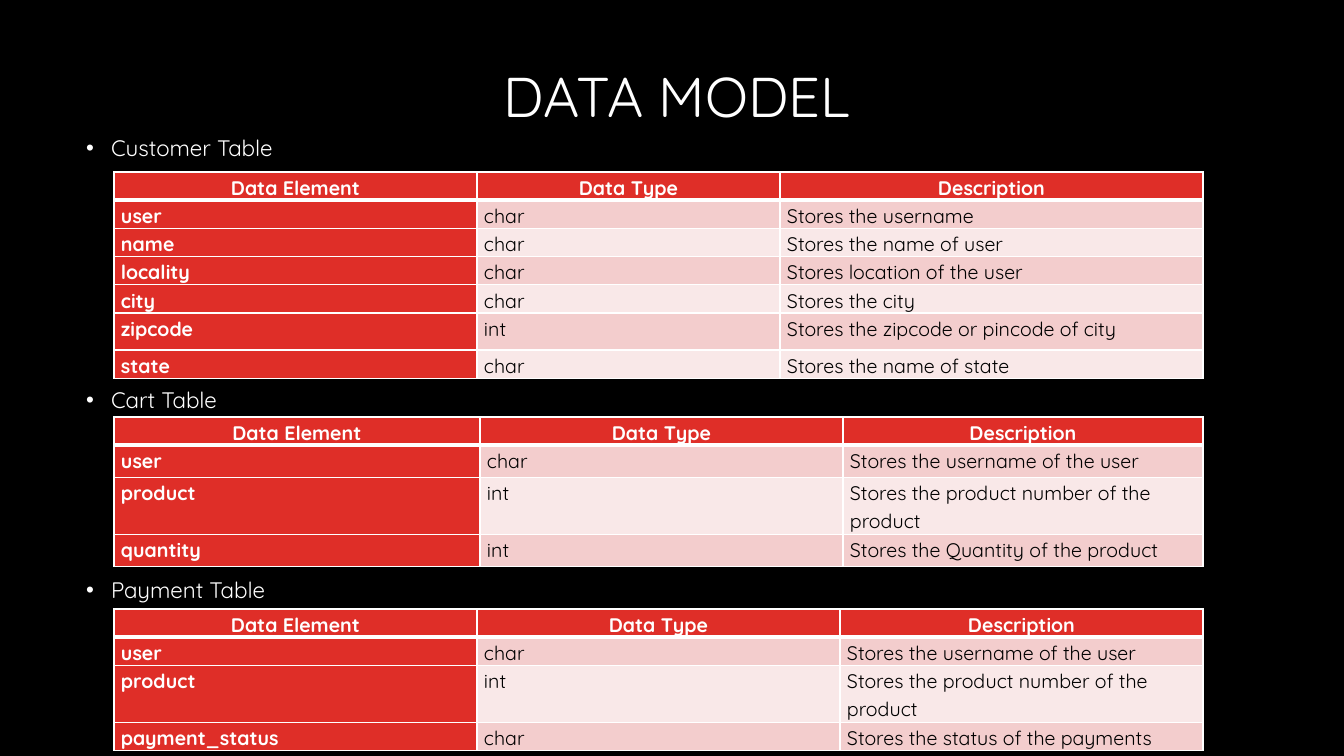
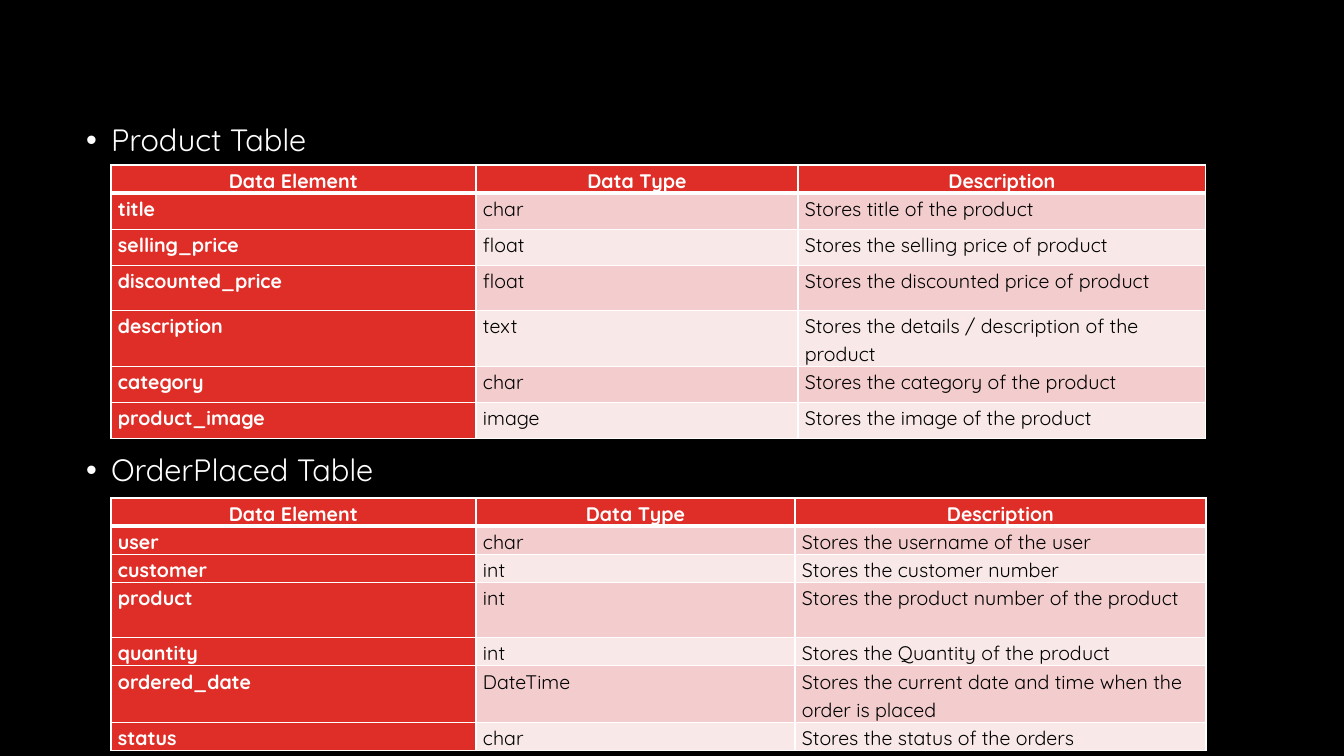
from lxml import etree
from pptx import Presentation
from pptx.dml.color import RGBColor
from pptx.enum.text import MSO_ANCHOR, MSO_AUTO_SIZE, PP_ALIGN
from pptx.oxml.ns import qn
from pptx.util import Pt

CENTER, LEFT = PP_ALIGN.CENTER, PP_ALIGN.LEFT
TOP, MIDDLE = MSO_ANCHOR.TOP, MSO_ANCHOR.MIDDLE
NO_FIT = MSO_AUTO_SIZE.NONE

SCALE = 914400 / 100.8
FONT = "Quicksand"
COLORS = {
    "black": "000000",
    "white": "FFFFFF",
    "red": "DF2E28",
    "rose": "F3CDCD",
    "pale": "F9E8E8",
}
HEADS = ("Data Element", "Data Type", "Description")
ROW = 28  # height of a row with one line of text

# Rows: element, type, description and, where it is not ROW, the height.
CUSTOMER = [
    ("user", "char", "Stores the username"),
    ("name", "char", "Stores the name of user"),
    ("locality", "char", "Stores location of the user"),
    ("city", "char", "Stores the city"),
    ("zipcode", "int", "Stores the zipcode or pincode of city", 37),
    ("state", "char", "Stores the name of state"),
]
CART = [
    ("user", "char", "Stores the username of the user", 32),
    ("product", "int", "Stores the product number of the product", 57),
    ("quantity", "int", "Stores the Quantity of the product", 32),
]
PAYMENT = [
    ("user", "char", "Stores the username of the user"),
    ("product", "int", "Stores the product number of the product", 57),
    ("payment_status", "char", "Stores the status of the payments"),
]
PRODUCT = [
    ("title", "char", "Stores title of the product", 36),
    ("selling_price", "float", "Stores the selling price of product", 36),
    ("discounted_price", "float", "Stores the discounted price of product", 45),
    ("description", "text", "Stores the details / description of the product", 56),
    ("category", "char", "Stores the category of the product", 36),
    ("product_image", "image", "Stores the image of the product", 36),
]
ORDER = [
    ("user", "char", "Stores the username of the user"),
    ("customer", "int", "Stores the customer number"),
    ("product", "int", "Stores the product number of the product", 55),
    ("quantity", "int", "Stores the Quantity of the product"),
    ("ordered_date", "DateTime",
     "Stores the current date and time when the order is placed", 55),
    ("status", "char", "Stores the status of the orders"),
]


def px(n):
    return round(n * SCALE)


def rgb(name):
    return RGBColor.from_string(COLORS[name])


def style(para, size, color, bold=False, align=LEFT, line=0.9):
    para.alignment = align
    para.line_spacing = line
    font = para.font
    font.name, font.size, font.bold = FONT, Pt(size), bold
    font.color.rgb = rgb(color)


def place(shape, left, top, width, height):
    shape.left, shape.top = px(left), px(top)
    shape.width, shape.height = px(width), px(height)


def add_title(slide, text):
    title = slide.shapes.title
    place(title, 84, 44, 1185, 110)
    title.text_frame.vertical_anchor = MIDDLE
    title.text_frame.text = text
    style(title.text_frame.paragraphs[0], 40, "white", align=CENTER)


def add_list(slide, top, height, size, items):
    """Fill the body with (text, points of space before) bullets."""
    body = slide.placeholders[1]
    place(body, 76, top, 1192, height)
    frame = body.text_frame
    frame.auto_size = NO_FIT
    frame.vertical_anchor = TOP
    frame.text = "\n".join(text for text, _ in items)
    for para, (_, gap) in zip(frame.paragraphs, items):
        props = para._p.get_or_add_pPr()
        props.set("marL", str(px(25)))
        props.set("indent", str(px(-25)))
        tint = etree.SubElement(props, qn("a:buClr"))
        etree.SubElement(tint, qn("a:srgbClr"), val=COLORS["white"])
        etree.SubElement(props, qn("a:buFont"), typeface="Arial")
        etree.SubElement(props, qn("a:buChar"), char="•")
        para.space_before = Pt(gap)
        style(para, size, "white")


def add_edges(cell, top, bottom):
    """Draw white borders; top and bottom are widths in points."""
    props = cell._tc.get_or_add_tcPr()
    for side, width in (("L", 1), ("R", 1), ("T", top), ("B", bottom)):
        edge = etree.SubElement(props, qn(f"a:ln{side}"), w=str(Pt(width)))
        fill = etree.SubElement(edge, qn("a:solidFill"))
        etree.SubElement(fill, qn("a:srgbClr"), val=COLORS["white"])


def fill_cell(cell, text, row, col):
    head, key = row == 0, row == 0 or col == 0
    add_edges(cell, 3 if row == 1 else 1, 3 if head else 1)
    cell.fill.solid()
    cell.fill.fore_color.rgb = rgb("red" if key else "rose" if row % 2 else "pale")
    cell.margin_left = cell.margin_right = px(7)
    cell.margin_top = cell.margin_bottom = 0
    cell.text = text
    para = cell.text_frame.paragraphs[0]
    para.space_after = Pt(10)
    style(para, 14, "white" if key else "black", key, CENTER if head else LEFT, 1.15)


def add_grid(slide, left, top, widths, rows):
    rows = [HEADS, *rows]
    tall = [row[3] if len(row) > 3 else ROW for row in rows]
    table = slide.shapes.add_table(
        len(rows), len(widths), px(left), px(top), px(sum(widths)), px(sum(tall))
    ).table
    table.first_col = True
    for col, width in zip(table.columns, widths):
        col.width = px(width)
    for r, row in enumerate(rows):
        table.rows[r].height = px(tall[r])
        for c, text in enumerate(row[:3]):
            fill_cell(table.cell(r, c), text, r, c)


def main():
    deck = Presentation()
    deck.slide_width, deck.slide_height = px(1344), px(756)
    back = deck.slide_master.background.fill
    back.solid()
    back.fore_color.rgb = rgb("black")
    layout = deck.slide_layouts[1]

    slide = deck.slides.add_slide(layout)
    add_title(slide, "DATA MODEL")
    add_list(slide, 132, 607, 16,
             [("Customer Table", 0), ("Cart Table", 163), ("Payment Table", 118)])
    add_grid(slide, 114, 172, (363, 303, 423), CUSTOMER)
    add_grid(slide, 114, 417, (366, 363, 360), CART)
    add_grid(slide, 114, 609, (363, 363, 363), PAYMENT)

    slide = deck.slides.add_slide(layout)
    title = slide.shapes.title.element
    title.getparent().remove(title)
    add_list(slide, 120, 565, 22, [("Product Table", 0), ("OrderPlaced Table", 212)])
    add_grid(slide, 111, 165, (365, 322, 408), PRODUCT)
    add_grid(slide, 111, 498, (365, 319, 411), ORDER)

    deck.save("out.pptx")


if __name__ == "__main__":
    main()
